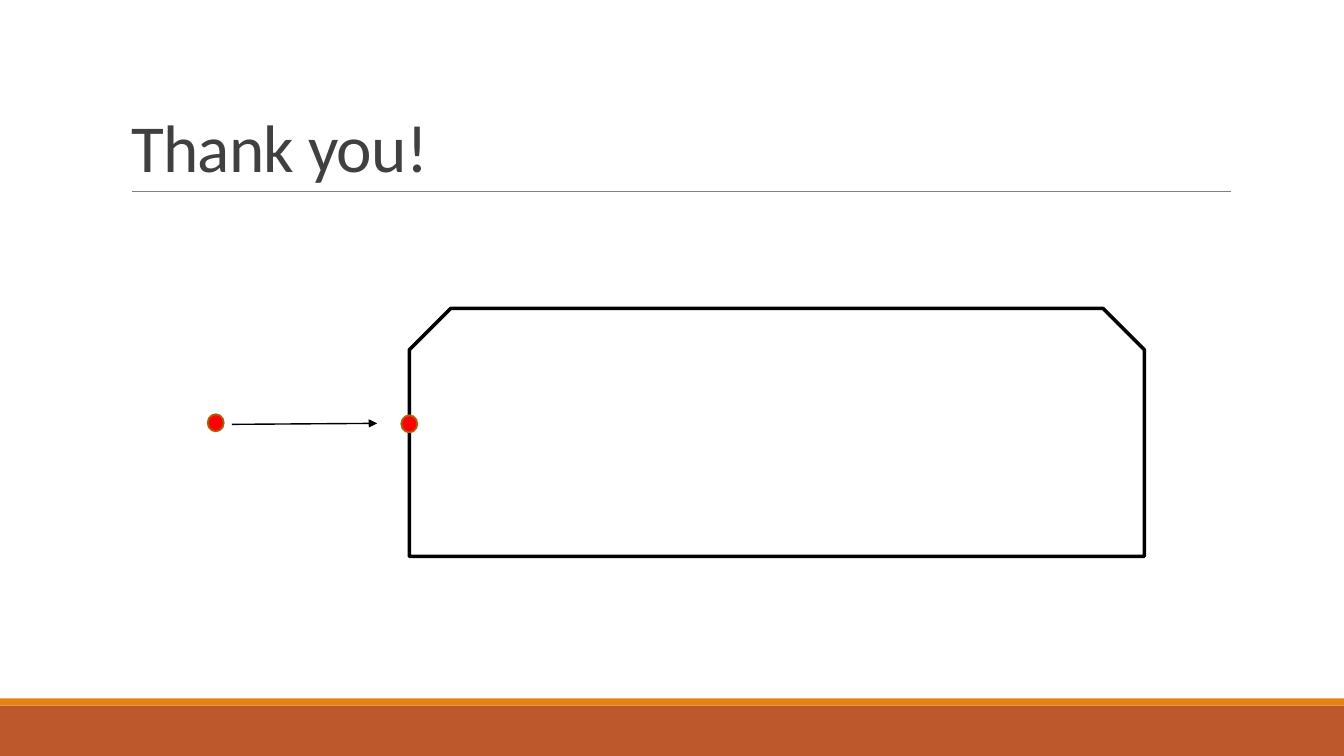
import pptx
import pptx.dml.color
import pptx.enum.shapes
import pptx.enum.text
import pptx.oxml
import pptx.oxml.ns
import pptx.util

Inches = pptx.util.Inches
Pt = pptx.util.Pt
RGBColor = pptx.dml.color.RGBColor
Shape = pptx.enum.shapes.MSO_SHAPE

RUST = RGBColor(0xBD, 0x58, 0x2C)
AMBER = RGBColor(0xE4, 0x83, 0x12)
BROWN = RGBColor(0xA9, 0x61, 0x0D)
RED = RGBColor(0xFF, 0x00, 0x00)
BLACK = RGBColor(0x00, 0x00, 0x00)
GRAY = RGBColor(0x80, 0x80, 0x80)
DARK = RGBColor(0x40, 0x40, 0x40)


def add_form(slide, kind, box, fill=None, line=None, width=1):
    form = slide.shapes.add_shape(kind, *map(Inches, box))
    form.shadow.inherit = False
    if fill is None:
        form.fill.background()
    else:
        form.fill.solid()
        form.fill.fore_color.rgb = fill
    if line is None:
        form.line.fill.background()
    else:
        form.line.color.rgb = line
        form.line.width = Pt(width)
    return form


def add_dot(slide, left, top):
    add_form(slide, Shape.OVAL, (left, top, 0.16, 0.17), RED, BROWN, 1.25)


def add_line(slide, start, end, color, width, arrow=False):
    line = slide.shapes.add_connector(
        pptx.enum.shapes.MSO_CONNECTOR.STRAIGHT, *map(Inches, start + end))
    line.line.color.rgb = color
    line.line.width = Pt(width)
    if arrow:
        pptx.oxml.ns.qn("a:tailEnd")
        tip = line.line._get_or_add_ln().makeelement(
            pptx.oxml.ns.qn("a:tailEnd"), {"type": "triangle"})
        line.line._get_or_add_ln().append(tip)
    props = line._element.spPr
    props.append(props.makeelement(pptx.oxml.ns.qn("a:effectLst"), {}))


def set_title(slide, text):
    title = slide.shapes.title
    title.left, title.top = Inches(1.2), Inches(0.31)
    title.width, title.height = Inches(11), Inches(1.59)
    frame = title.text_frame
    frame.text = text
    frame.word_wrap = True
    frame.auto_size = pptx.enum.text.MSO_AUTO_SIZE.NONE
    frame.vertical_anchor = pptx.enum.text.MSO_ANCHOR.BOTTOM
    para = frame.paragraphs[0]
    para.alignment = pptx.enum.text.PP_ALIGN.LEFT
    para.line_spacing = 0.85
    font = para.runs[0].font
    font.name = "Calibri"
    font.size = Pt(48)
    font.color.rgb = DARK
    para.runs[0]._r.get_or_add_rPr().set("spc", "-50")


def main():
    deck = pptx.Presentation()
    deck.slide_width, deck.slide_height = Inches(13.33), Inches(7.5)
    slide = deck.slides.add_slide(deck.slide_layouts[5])
    add_form(slide, Shape.RECTANGLE, (0, 7, 13.33, 0.5), RUST)
    add_form(slide, Shape.RECTANGLE, (0, 6.93, 13.33, 0.07), AMBER)
    add_line(slide, (1.31, 1.9), (12.21, 1.9), GRAY, 0.5)
    set_title(slide, "Thank you!")
    add_form(slide, Shape.SNIP_2_SAME_RECTANGLE, (4.06, 3.06, 7.29, 2.46),
             line=BLACK, width=2.5)
    add_dot(slide, 2.06, 4.11)
    add_dot(slide, 3.98, 4.12)
    add_line(slide, (2.3, 4.21), (3.74, 4.2), BLACK, 1, arrow=True)
    deck.save("out.pptx")


if __name__ == "__main__":
    main()
